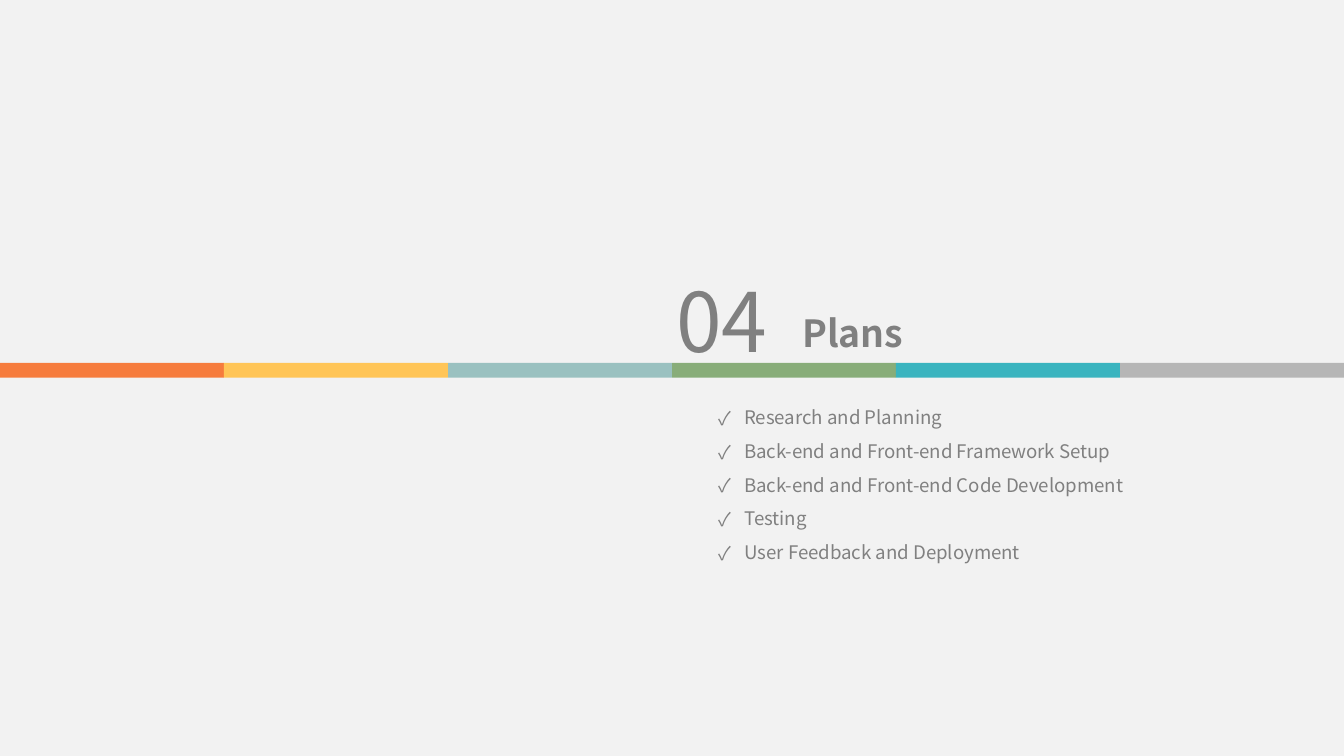
import pptx
import pptx.util
import pptx.dml.color
import pptx.enum.shapes
import pptx.enum.text
import pptx.oxml.ns
import lxml.etree

Inches = pptx.util.Inches
Pt = pptx.util.Pt
RGB = pptx.dml.color.RGBColor
ALIGN = pptx.enum.text.PP_ALIGN

WIDTH = 10
HEIGHT = WIDTH * 9 / 16
FONT = "Noto Sans CJK SC"
PAPER = RGB(0xF2, 0xF2, 0xF2)
GRAY = RGB(0x80, 0x80, 0x80)
BANDS = [
    RGB(0xF6, 0x7C, 0x3D), RGB(0xFF, 0xC5, 0x57), RGB(0x9A, 0xC1, 0xC0),
    RGB(0x88, 0xAD, 0x79), RGB(0x3A, 0xB4, 0xBF), RGB(0xB6, 0xB6, 0xB6),
]
STEPS = [
    "Research and Planning",
    "Back-end and Front-end Framework Setup",
    "Back-end and Front-end Code Development",
    "Testing",
    "User Feedback and Deployment",
]


def add_text(slide, box, lines, size, bold=False, align=ALIGN.LEFT):
    frame = slide.shapes.add_textbox(*map(Inches, box)).text_frame
    frame.word_wrap = True
    frame.auto_size = pptx.enum.text.MSO_AUTO_SIZE.SHAPE_TO_FIT_TEXT
    frame.text = "\n".join(lines)
    for para in frame.paragraphs:
        para.alignment = align
        for run in para.runs:
            font = run.font
            font.name, font.size, font.bold = FONT, Pt(size), bold
            font.color.rgb = GRAY
    return frame


def add_head(slide, left, top, number, title):
    add_text(slide, (left, top, 0.98, 0.84), [number], 44, align=ALIGN.CENTER)
    add_text(slide, (left + 0.99, top + 0.3, 2.76, 0.44), [title], 20, bold=True)


def add_list(slide, box, items):
    frame = add_text(slide, box, items, 10)
    for para in frame.paragraphs:
        para.line_spacing = 1.5
        # Hanging check mark in the text font
        props = para._p.get_or_add_pPr()
        props.set("marL", str(Inches(0.19)))
        props.set("indent", str(-Inches(0.19)))
        for tag, key, value in (("a:buFont", "typeface", FONT),
                                ("a:buChar", "char", "✓")):
            mark = lxml.etree.SubElement(props, pptx.oxml.ns.qn(tag))
            mark.set(key, value)


def add_bar(slide, left, top, width, height):
    group = slide.shapes.add_group_shape()
    step = width / len(BANDS)
    for i, color in enumerate(BANDS):
        band = group.shapes.add_shape(
            pptx.enum.shapes.MSO_SHAPE.RECTANGLE,
            Inches(left + i * step), Inches(top), Inches(step), Inches(height))
        band.shadow.inherit = False
        band.fill.solid()
        band.fill.fore_color.rgb = color
        band.line.fill.background()


def main():
    deck = pptx.Presentation()
    deck.slide_width, deck.slide_height = Inches(WIDTH), Inches(HEIGHT)
    slide = deck.slides.add_slide(deck.slide_layouts[6])
    slide.background.fill.solid()
    slide.background.fill.fore_color.rgb = PAPER

    # Steps, heading, then the colour bar between them
    add_list(slide, (5.25, 2.89, 3.37, 1.33), STEPS)
    add_head(slide, 4.88, 1.96, "04", "Plans")
    add_bar(slide, 0, 2.7, WIDTH, 0.11)
    deck.save("out.pptx")


if __name__ == "__main__":
    main()
